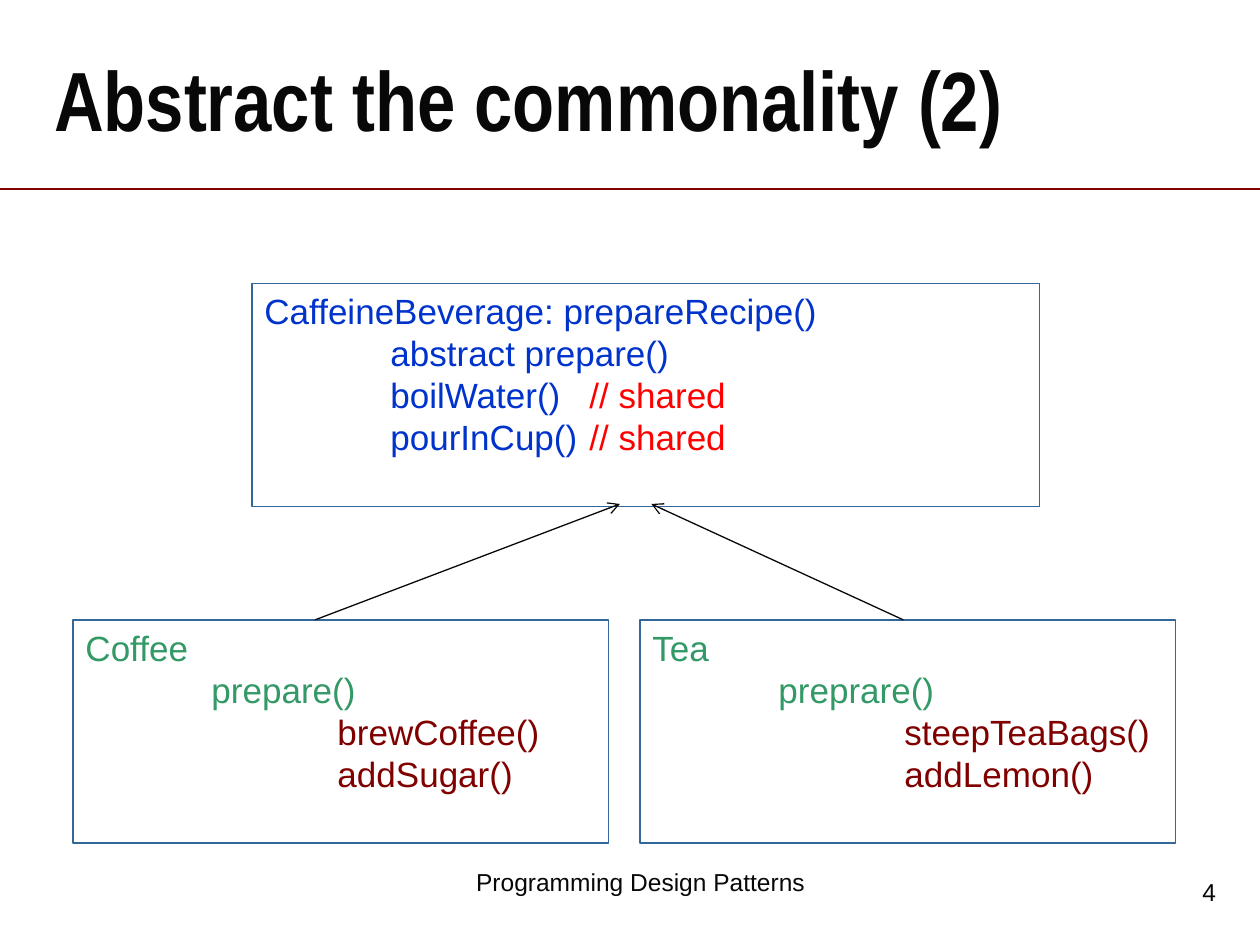
from dataclasses import dataclass

from lxml.etree import SubElement
from pptx import Presentation
from pptx.dml.color import RGBColor
from pptx.enum.shapes import MSO_CONNECTOR, MSO_SHAPE
from pptx.enum.text import MSO_ANCHOR, MSO_AUTO_SIZE, PP_ALIGN
from pptx.oxml.ns import qn
from pptx.slide import Slide
from pptx.text.text import TextFrame
from pptx.util import Inches, Pt


@dataclass(frozen=True)
class Theme:
    """Colours, fonts and sizes of the slide."""
    ink: str = "080808"
    rule: str = "800000"
    edge: str = "336699"
    base: str = "0033CC"
    note: str = "FF0000"
    kind: str = "339966"
    step: str = "800000"
    font: str = "Arial"
    head: str = "Arial Narrow"
    title: int = 48
    code: int = 20
    foot: int = 14
    thin: float = 0.75
    tabs: tuple[float, ...] = (1, 2, 2.58)


@dataclass(frozen=True)
class Span:
    """A piece of text in one colour."""
    text: str
    hue: str


@dataclass(frozen=True)
class Box:
    """A class box with its lines of code."""
    left: float
    top: float
    width: float
    lines: list[list[Span]]


@dataclass(frozen=True)
class Link:
    """A straight line, with or without an arrowhead."""
    start: tuple[float, float]
    end: tuple[float, float]
    hue: str
    arrow: bool = True


@dataclass(frozen=True)
class Label:
    """A line of footer text."""
    left: float
    top: float
    width: float
    text: str
    align: PP_ALIGN


LOOK = Theme()


def child(name: str, base: str, steps: list[str], left: float) -> Box:
    """Describe a subclass box."""
    head, *rest = [name, f"\t{base}"]
    lines = [[Span(text, LOOK.kind)] for text in (head, *rest)]
    lines += [[Span(f"\t\t{step}", LOOK.step)] for step in steps]
    return Box(left, 4.92, 4.25, lines)


PARENT = Box(2, 2.25, 6.25, [
    [Span("CaffeineBeverage: prepareRecipe()", LOOK.base)],
    [Span("\tabstract prepare()", LOOK.base)],
    *([Span(f"\t{call}\t", LOOK.base), Span("// shared", LOOK.note)]
      for call in ("boilWater()", "pourInCup()")),
])
BOXES = [
    PARENT,
    child("Coffee", "prepare()", ["brewCoffee()", "addSugar()"], 0.58),
    child("Tea", "preprare()", ["steepTeaBags()", "addLemon()"], 5.08),
]
RULE = Link((0, 1.5), (10, 1.5), LOOK.rule, False)
LINKS = [
    Link((2.5, 4.92), (4.92, 4), LOOK.ink),
    Link((7.17, 4.92), (5.17, 4), LOOK.ink),
]
LABELS = [
    Label(3, 6.75, 4.17, "Programming Design Patterns", PP_ALIGN.CENTER),
    Label(7.67, 6.83, 2.08, "4", PP_ALIGN.RIGHT),
]


def write(frame: TextFrame, lines: list[list[Span]], size: int,
          align: PP_ALIGN = PP_ALIGN.LEFT, font: str = LOOK.font,
          bold: bool = False) -> None:
    """Fill a text frame run by run."""
    frame.word_wrap = True
    frame.auto_size = MSO_AUTO_SIZE.NONE
    for spot, line in enumerate(lines):
        para = frame.add_paragraph() if spot else frame.paragraphs[0]
        para.alignment = align
        for span in line:
            run = para.add_run()
            run.text = span.text
            run.font.name = font
            run.font.size = Pt(size)
            run.font.bold = bold
            run.font.color.rgb = RGBColor.from_string(span.hue)


def set_tabs(frame: TextFrame) -> None:
    """Give each paragraph the tab stops of the theme."""
    for para in frame.paragraphs:
        stops = SubElement(para._p.get_or_add_pPr(), qn("a:tabLst"))
        for stop in LOOK.tabs:
            SubElement(stops, qn("a:tab"), pos=str(Inches(stop)), algn="l")


def draw_title(slide: Slide, text: str) -> None:
    """Place and fill the title."""
    title = slide.shapes.title
    title.left, title.top = Inches(0.33), Inches(0.25)
    title.width, title.height = Inches(9.67), Inches(1.25)
    frame = title.text_frame
    frame.vertical_anchor = MSO_ANCHOR.MIDDLE
    write(frame, [[Span(text, LOOK.ink)]], LOOK.title,
          font=LOOK.head, bold=True)
    frame.paragraphs[0].line_spacing = 0.7


def draw_box(slide: Slide, box: Box) -> None:
    """Draw a class box."""
    shape = slide.shapes.add_shape(
        MSO_SHAPE.RECTANGLE, Inches(box.left), Inches(box.top),
        Inches(box.width), Inches(1.77))
    shape.shadow.inherit = False
    shape.fill.background()
    shape.line.color.rgb = RGBColor.from_string(LOOK.edge)
    shape.line.width = Pt(LOOK.thin)
    frame = shape.text_frame
    frame.vertical_anchor = MSO_ANCHOR.TOP
    write(frame, box.lines, LOOK.code)
    set_tabs(frame)


def draw_link(slide: Slide, link: Link) -> None:
    """Draw a line or an arrow."""
    ends = [Inches(value) for value in (*link.start, *link.end)]
    line = slide.shapes.add_connector(MSO_CONNECTOR.STRAIGHT, *ends)
    line.line.color.rgb = RGBColor.from_string(link.hue)
    line.line.width = Pt(LOOK.thin)
    if link.arrow:
        SubElement(line.line._get_or_add_ln(), qn("a:tailEnd"), type="arrow")
    SubElement(line._element.spPr, qn("a:effectLst"))


def draw_label(slide: Slide, label: Label) -> None:
    """Draw a footer label."""
    shape = slide.shapes.add_textbox(
        Inches(label.left), Inches(label.top),
        Inches(label.width), Inches(0.5))
    shape.text_frame.vertical_anchor = MSO_ANCHOR.MIDDLE
    write(shape.text_frame, [[Span(label.text, LOOK.ink)]],
          LOOK.foot, label.align)


def main() -> None:
    """Build and save the slide."""
    deck = Presentation()
    deck.slide_width, deck.slide_height = Inches(10), Inches(7.5)
    slide = deck.slides.add_slide(deck.slide_layouts[5])
    draw_link(slide, RULE)
    for label in LABELS:
        draw_label(slide, label)
    draw_title(slide, "Abstract the commonality (2)")
    for box in BOXES:
        draw_box(slide, box)
    for link in LINKS:
        draw_link(slide, link)
    deck.save("out.pptx")


if __name__ == "__main__":
    main()
